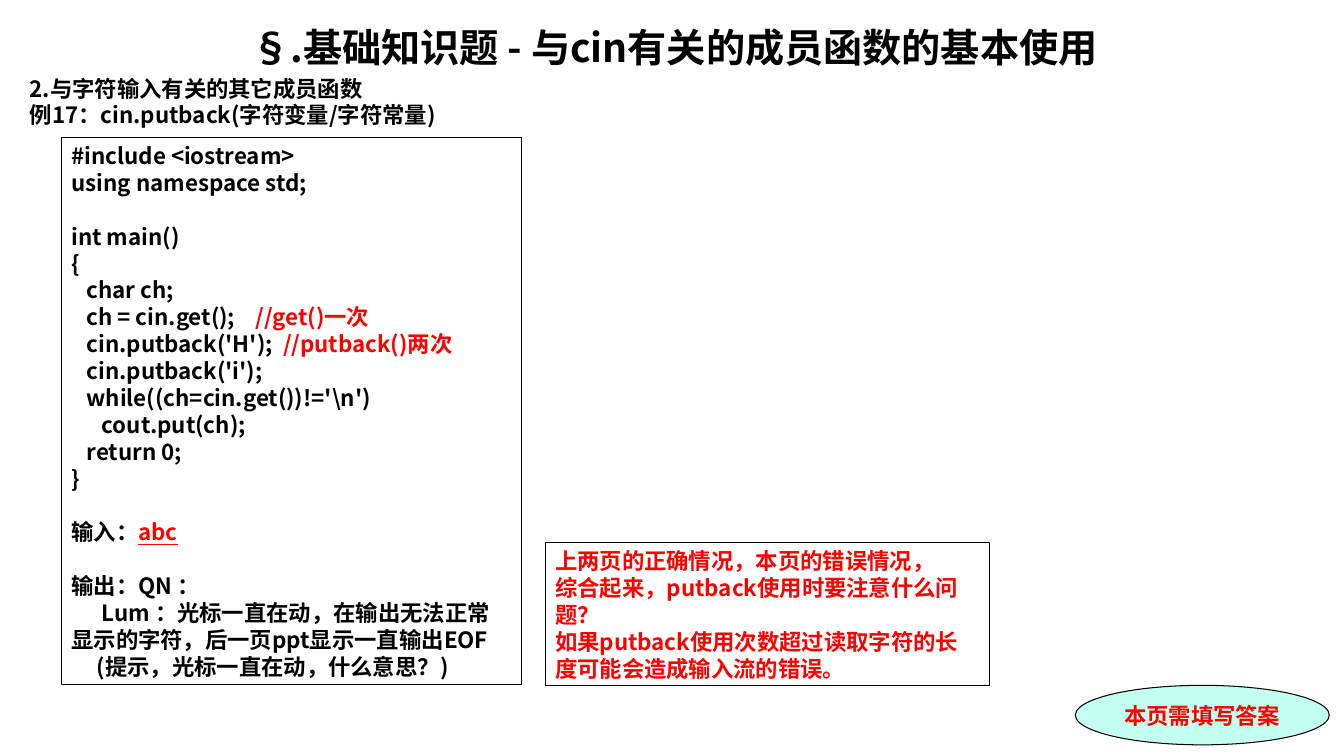
"""Build the slide about cin.putback, with its code, question and answer tag."""
from dataclasses import dataclass

from lxml.etree import SubElement
from pptx import Presentation
from pptx.dml.color import RGBColor
from pptx.enum.shapes import MSO_SHAPE
from pptx.enum.text import MSO_ANCHOR, PP_ALIGN
from pptx.oxml.ns import qn
from pptx.util import Cm, Pt

COLORS = {"black": "000000", "red": "FF0000", "mint": "C2FFF0"}
SANS = "Noto Sans CJK SC"
SERIF = "Times New Roman"
BODY_SIZE = 16
LINE_FACTOR = 1.2
BLANK_LINE = BODY_SIZE * LINE_FACTOR


@dataclass(frozen=True)
class Piece:
    text: str
    color: str = "black"
    underline: bool = False


@dataclass(frozen=True)
class Line:
    pieces: tuple[Piece, ...]
    size: float = BODY_SIZE
    before: float = 0
    indent: float = 0
    centered: bool = False


@dataclass(frozen=True)
class Panel:
    left: float
    top: float
    width: float
    height: float
    lines: tuple[Line, ...]
    outline: MSO_SHAPE | None = MSO_SHAPE.RECTANGLE
    fill: str | None = None
    font: str = SANS
    anchor: MSO_ANCHOR = MSO_ANCHOR.TOP
    wrap: bool = True


def line(text: str, color: str = "black", **options) -> Line:
    return Line((Piece(text, color),), **options)


HEADING = Panel(0.5, 0.46, 32.99, 18.01, (
    line("§.基础知识题 - 与cin有关的成员函数的基本使用", size=28, centered=True),
    line("2.与字符输入有关的其它成员函数", before=3.2),
    line("例17：cin.putback(字符变量/字符常量)"),
), outline=None)

QUESTION = Panel(13.74, 13.67, 11.2, 3.6, (
    line("上两页的正确情况，本页的错误情况，", "red"),
    line("综合起来，putback使用时要注意什么问题？", "red"),
    line("如果putback使用次数超过读取字符的长度可能会造成输入流的错误。", "red"),
))

ANSWER_TAG = Panel(27.1, 17.27, 6.4, 1.5, (
    line("本页需填写答案", "red", centered=True),
), MSO_SHAPE.OVAL, "mint", SERIF, MSO_ANCHOR.MIDDLE, False)

PROGRAM = Panel(1.55, 3.46, 11.6, 13.79, (
    line("#include <iostream>"),
    line("using namespace std;"),
    line("int main()", before=BLANK_LINE),
    line("{"),
    line("   char ch;"),
    Line((Piece("   ch = cin.get();"), Piece("    //get()一次", "red"))),
    Line((Piece("   cin.putback('H');  "), Piece("//putback()两次", "red"))),
    line("   cin.putback('i');"),
    line("   while((ch=cin.get())!='\\n')"),
    line("      cout.put(ch);"),
    line("   return 0;"),
    line("}"),
    Line((Piece("输入："), Piece("abc", "red", True)), before=BLANK_LINE),
    line("输出：QN ：", before=BLANK_LINE),
    line("Lum ：光标一直在动，在输出无法正常显示的字符，后一页ppt显示一直输出EOF", indent=0.76),
    line("(提示，光标一直在动，什么意思？)", indent=0.64),
))


def rgb(name: str) -> RGBColor:
    return RGBColor.from_string(COLORS[name])


def add_text(paragraph, text: str, *, size: float, font: str, color: str,
             underline: bool = False) -> None:
    run = paragraph.add_run()
    run.text = text
    run.font.size = Pt(size)
    run.font.bold = True
    run.font.name = font
    run.font.color.rgb = rgb(color)
    if underline:
        run.font.underline = True
    east_asian = SubElement(run.font._element, qn("a:ea"))
    east_asian.set("typeface", SANS)


def write_line(paragraph, content: Line, font: str) -> None:
    paragraph.alignment = PP_ALIGN.CENTER if content.centered else PP_ALIGN.LEFT
    paragraph.line_spacing = Pt(content.size * LINE_FACTOR)
    if content.before:
        paragraph.space_before = Pt(content.before)
    if content.indent:
        paragraph._p.get_or_add_pPr().set("indent", str(Cm(content.indent)))
    for piece in content.pieces:
        add_text(paragraph, piece.text, size=content.size, font=font,
                 color=piece.color, underline=piece.underline)


def draw_panel(slide, panel: Panel) -> None:
    box = [Cm(value) for value in (panel.left, panel.top, panel.width, panel.height)]
    if panel.outline is None:
        shape = slide.shapes.add_textbox(*box)
    else:
        shape = slide.shapes.add_shape(panel.outline, *box)
        shape.shadow.inherit = False
        shape.line.color.rgb = rgb("black")
        shape.line.width = Pt(0.75)
        if panel.fill:
            shape.fill.solid()
            shape.fill.fore_color.rgb = rgb(panel.fill)
        else:
            shape.fill.background()
    frame = shape.text_frame
    frame.word_wrap = panel.wrap
    frame.vertical_anchor = panel.anchor
    for index, content in enumerate(panel.lines):
        paragraph = frame.add_paragraph() if index else frame.paragraphs[0]
        write_line(paragraph, content, panel.font)


def main() -> None:
    presentation = Presentation()
    presentation.slide_width = Cm(33.87)
    presentation.slide_height = Cm(19.05)
    slide = presentation.slides.add_slide(presentation.slide_layouts[6])
    for panel in (HEADING, QUESTION, ANSWER_TAG, PROGRAM):
        draw_panel(slide, panel)
    presentation.save("out.pptx")


if __name__ == "__main__":
    main()
